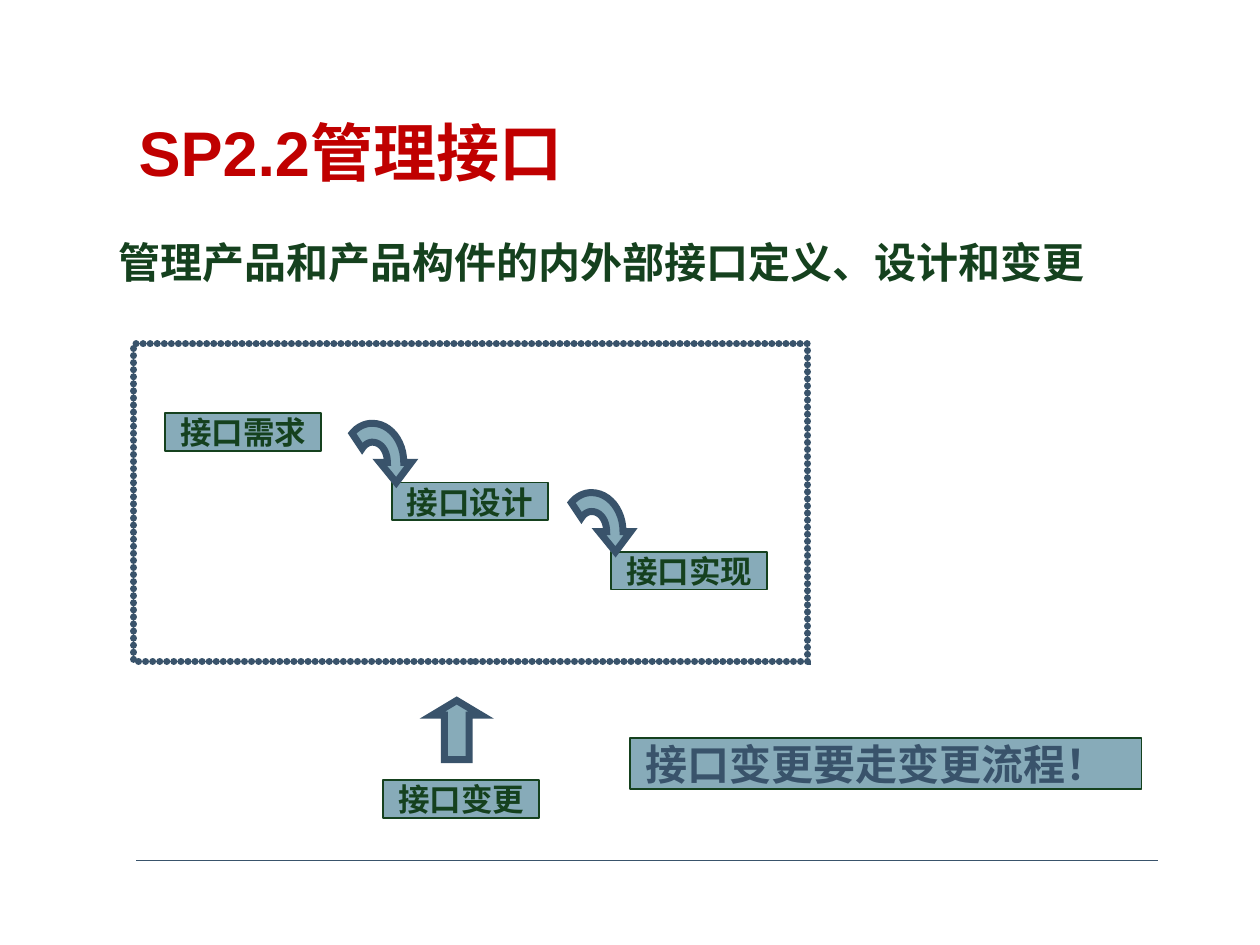
"""Build the slide on managing interfaces."""
import dataclasses

import lxml.etree
import pptx
import pptx.dml.color
import pptx.enum.shapes
import pptx.enum.text
import pptx.oxml.ns
import pptx.util

SHAPES = pptx.enum.shapes.MSO_SHAPE
ANCHOR = pptx.enum.text.MSO_ANCHOR


@dataclasses.dataclass(frozen=True)
class Theme:
    """Colours, font, type sizes and line widths of the slide."""
    title: str = "C00000"
    ink: str = "15411E"
    accent: str = "39536B"
    fill: str = "87ABB9"
    font: str = "Arial"
    title_size: int = 36
    body_size: int = 24
    label_size: int = 18
    thin: int = 1
    thick: int = 4


def rgb(value):
    """Turn a hex string into a colour."""
    return pptx.dml.color.RGBColor.from_string(value)


def add_xml(parent, tag, **attributes):
    """Append a drawing element and return it."""
    return lxml.etree.SubElement(parent, pptx.oxml.ns.qn(tag), attributes)


def curve(start, first, second, end, steps=12):
    """Return points along a cubic curve, without its start."""
    points = []
    for step in range(1, steps + 1):
        t = step / steps
        weights = ((1 - t) ** 3, 3 * t * (1 - t) ** 2, 3 * t * t * (1 - t), t ** 3)
        points.append(tuple(
            sum(weight * value for weight, value in zip(weights, values))
            for values in zip(start, first, second, end)))
    return points


class SlideBuilder:
    """Hold the theme and the slide, placing elements on a 100 by 75 grid."""

    def __init__(self, presentation, theme):
        """Add a blank slide and measure its grid."""
        self.theme = theme
        self.slide = presentation.slides.add_slide(presentation.slide_layouts[6])
        self.column = presentation.slide_width / 100
        self.row = presentation.slide_height / 75

    def place(self, left, top, width, height):
        """Turn grid values into lengths."""
        return (round(left * self.column), round(top * self.row),
                round(width * self.column), round(height * self.row))

    def paint(self, shape, fill, line, width):
        """Set fill and outline, and remove the shadow."""
        shape.shadow.inherit = False
        if fill:
            shape.fill.solid()
            shape.fill.fore_color.rgb = rgb(fill)
        else:
            shape.fill.background()
        shape.line.color.rgb = rgb(line)
        shape.line.width = pptx.util.Pt(width)

    def set_text(self, shape, text, size, color, inset=0.0, wrap=True,
                 anchor=ANCHOR.TOP, spacing=None):
        """Put one bold paragraph into a shape."""
        frame = shape.text_frame
        margin = round(inset * self.column)
        frame_format = {"margin_left": margin, "margin_right": margin,
                        "margin_top": 0, "margin_bottom": 0,
                        "word_wrap": wrap, "vertical_anchor": anchor}
        for name, value in frame_format.items():
            setattr(frame, name, value)
        paragraph = frame.paragraphs[0]
        paragraph.alignment = pptx.enum.text.PP_ALIGN.LEFT
        paragraph.line_spacing = spacing
        run = paragraph.add_run()
        run.text = text
        font_format = {"name": self.theme.font, "size": pptx.util.Pt(size), "bold": True}
        for name, value in font_format.items():
            setattr(run.font, name, value)
        run.font.color.rgb = rgb(color)

    def text(self, box, text, size, color, **options):
        """Add a plain text box."""
        self.set_text(self.slide.shapes.add_textbox(*self.place(*box)),
                      text, size, color, **options)

    def label(self, box, text, size, color, wrap=False):
        """Add a filled box with text that sets its height."""
        shape = self.slide.shapes.add_shape(SHAPES.RECTANGLE, *self.place(*box))
        self.paint(shape, self.theme.fill, self.theme.ink, self.theme.thin)
        self.set_text(shape, text, size, color, inset=1.2, wrap=wrap, anchor=ANCHOR.MIDDLE)
        shape.text_frame.auto_size = pptx.enum.text.MSO_AUTO_SIZE.SHAPE_TO_FIT_TEXT

    def arrow(self, shape):
        """Paint an arrow with a thick, sharp outline."""
        self.paint(shape, self.theme.fill, self.theme.accent, self.theme.thick)
        add_xml(shape.line._get_or_add_ln(), "a:miter", lim="800000")

    def bent_arrow(self, left, top):
        """Add an arrow that bends from the right to downwards."""
        outline = [(3.6, 3.1)]
        outline += curve((3.6, 3.1), (3.6, 2.2), (3.1, 1.5), (2.4, 1.5))
        outline += curve((2.4, 1.5), (2.1, 1.5), (1.8, 1.7), (1.6, 2))
        outline += [(0.8, 0.8)]
        outline += curve((0.8, 0.8), (1.2, 0.3), (1.8, 0), (2.4, 0))
        outline += curve((2.4, 0), (3.8, 0), (4.9, 1.4), (4.9, 3.1))
        outline += [(5.5, 3.1), (4.3, 4.7), (3, 3.1)]
        points = [self.place(left + x, top + y, 0, 0)[:2] for x, y in outline]
        builder = self.slide.shapes.build_freeform(*points[0])
        builder.add_line_segments(points[1:], close=True)
        self.arrow(builder.convert_to_shape())

    def up_arrow(self, box):
        """Add an arrow that points upwards."""
        shape = self.slide.shapes.add_shape(SHAPES.UP_ARROW, *self.place(*box))
        shape.adjustments[1] = 0.3
        self.arrow(shape)

    def dotted_frame(self, box):
        """Add an empty frame outlined with round dots."""
        shape = self.slide.shapes.add_shape(SHAPES.RECTANGLE, *self.place(*box))
        self.paint(shape, None, self.theme.accent, self.theme.thick)
        line = shape.line._get_or_add_ln()
        line.set("cap", "rnd")
        add_xml(add_xml(line, "a:custDash"), "a:ds", d="100000", sp="1000")
        add_xml(line, "a:miter", lim="800000")

    def rule(self, left, right, top):
        """Add a thin horizontal line."""
        start, end = self.place(left, top, 0, 0)[:2], self.place(right, top, 0, 0)[:2]
        connector = self.slide.shapes.add_connector(
            pptx.enum.shapes.MSO_CONNECTOR.STRAIGHT, *start, *end)
        connector.line.color.rgb = rgb(self.theme.accent)
        connector.line.width = pptx.util.Pt(self.theme.thin)
        add_xml(connector._element.spPr, "a:effectLst")


def main():
    """Build and save the presentation."""
    presentation = pptx.Presentation()
    presentation.slide_width = pptx.util.Inches(10)
    presentation.slide_height = pptx.util.Inches(7.5)
    theme = Theme()
    page = SlideBuilder(presentation, theme)

    page.rule(10.8, 91.9, 68.3)
    page.text((11, 9.7, 81.2, 6.1), "SP2.2管理接口", theme.title_size, theme.title, spacing=0.89)
    page.text((9.4, 18.8, 81.1, 48), "管理产品和产品构件的内外部接口定义、设计和变更",
              theme.body_size, theme.ink)

    first_row, row_step = 32.8, 5.5
    steps = {"接口需求": 13.1, "接口设计": 31.1, "接口实现": 48.5}
    labels = [(text, left, first_row + index * row_step)
              for index, (text, left) in enumerate(steps.items())]
    for text, left, top in labels + [("接口变更", 30.4, 61.9)]:
        page.label((left, top, 12.4, 3), text, theme.label_size, theme.ink)
    for text, left, top in labels[1:]:
        page.bent_arrow(left - 3.95, top - 4.7)

    page.dotted_frame((10.6, 27.3, 53.5, 25.2))
    page.up_arrow((34.3, 55.6, 3.9, 4.7))
    page.label((50, 58.6, 40.6, 4), "接口变更要走变更流程！", theme.body_size, theme.accent, wrap=True)
    presentation.save("out.pptx")


if __name__ == "__main__":
    main()
